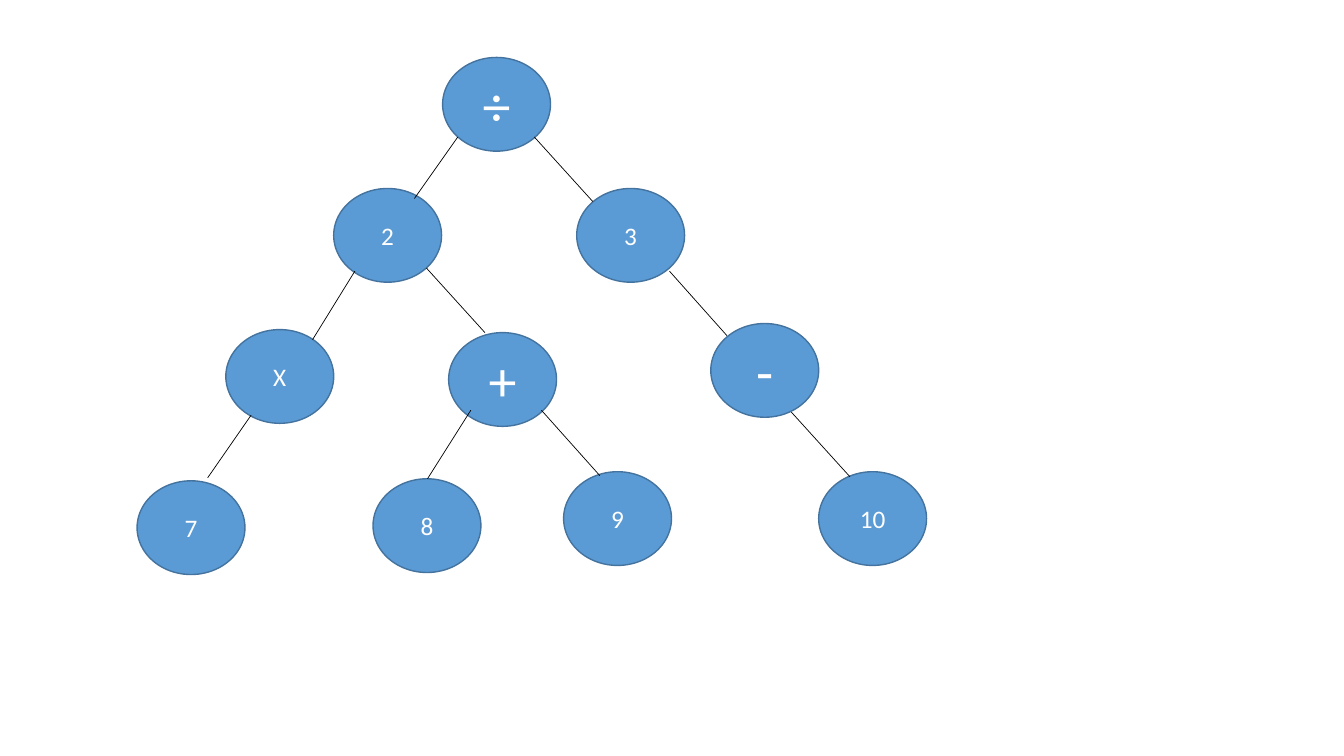
"""Build a slide with a binary expression tree."""
from typing import NamedTuple

import pptx
import pptx.dml.color
import pptx.enum.shapes
import pptx.enum.text
import pptx.oxml.ns
import pptx.shapes.autoshape
import pptx.slide
import pptx.util
from lxml import etree
from pptx.util import Inches

COLORS = {"node": "5B9BD5", "outline": "43739E", "label": "FFFFFF", "branch": "000000"}
NODE_WIDTH, NODE_HEIGHT = Inches(1.07), Inches(0.93)
OPERAND_SIZE, OPERATOR_SIZE = 18, 40


class Node(NamedTuple):
    label: str
    left: float
    top: float
    size: int = OPERAND_SIZE


class Branch(NamedTuple):
    start: tuple[float, float]
    end: tuple[float, float]


NODES = [
    Node("÷", 4.39, 0.57, OPERATOR_SIZE),
    Node("2", 3.31, 1.87),
    Node("3", 5.72, 1.87),
    Node("X", 2.24, 3.27),
    Node("+", 4.45, 3.3, OPERATOR_SIZE),
    Node("8", 3.7, 4.75),
    Node("9", 5.59, 4.68),
    Node("-", 7.05, 3.21, OPERATOR_SIZE),
    Node("10", 8.12, 4.68),
    Node("7", 1.36, 4.77),
]
BRANCHES = [
    Branch((4.54, 1.36), (4.11, 1.97)),
    Branch((5.3, 1.36), (5.88, 2)),
    Branch((2.49, 4.12), (2.06, 4.74)),
    Branch((3.52, 2.69), (3.1, 3.37)),
    Branch((6.64, 2.69), (7.21, 3.33)),
    Branch((7.85, 4.09), (8.43, 4.73)),
    Branch((4.23, 2.66), (4.81, 3.3)),
    Branch((5.37, 4.07), (5.95, 4.72)),
    Branch((4.67, 4.07), (4.24, 4.75)),
]


def color(name: str) -> pptx.dml.color.RGBColor:
    return pptx.dml.color.RGBColor.from_string(COLORS[name])


def write_text(holder: pptx.shapes.autoshape.Shape, text: str, *, size: int,
               ink: str = "label", font: str = "Calibri") -> None:
    frame = holder.text_frame
    frame.word_wrap = True
    frame.vertical_anchor = pptx.enum.text.MSO_ANCHOR.MIDDLE
    paragraph = frame.paragraphs[0]
    paragraph.alignment = pptx.enum.text.PP_ALIGN.CENTER
    run = paragraph.add_run()
    run.text = text
    run.font.name = font
    run.font.size = pptx.util.Pt(size)
    run.font.color.rgb = color(ink)


def draw_node(slide: pptx.slide.Slide, node: Node) -> None:
    ellipse = slide.shapes.add_shape(
        pptx.enum.shapes.MSO_SHAPE.OVAL,
        Inches(node.left), Inches(node.top), NODE_WIDTH, NODE_HEIGHT)
    ellipse.shadow.inherit = False
    ellipse.fill.solid()
    ellipse.fill.fore_color.rgb = color("node")
    ellipse.line.color.rgb = color("outline")
    ellipse.line.width = pptx.util.Pt(1)
    write_text(ellipse, node.label, size=node.size)


def draw_branch(slide: pptx.slide.Slide, branch: Branch) -> None:
    line = slide.shapes.add_connector(
        pptx.enum.shapes.MSO_CONNECTOR.STRAIGHT,
        *map(Inches, branch.start + branch.end))
    line.line.color.rgb = color("branch")
    line.line.width = pptx.util.Pt(0.5)
    properties = line._element.find(pptx.oxml.ns.qn("p:spPr"))
    etree.SubElement(properties, pptx.oxml.ns.qn("a:effectLst"))


def main() -> None:
    deck = pptx.Presentation()
    deck.slide_width, deck.slide_height = Inches(13.33), Inches(7.5)
    tree = deck.slides.add_slide(deck.slide_layouts[6])
    for node in NODES:
        draw_node(tree, node)
    for branch in BRANCHES:
        draw_branch(tree, branch)
    deck.save("out.pptx")


main()
